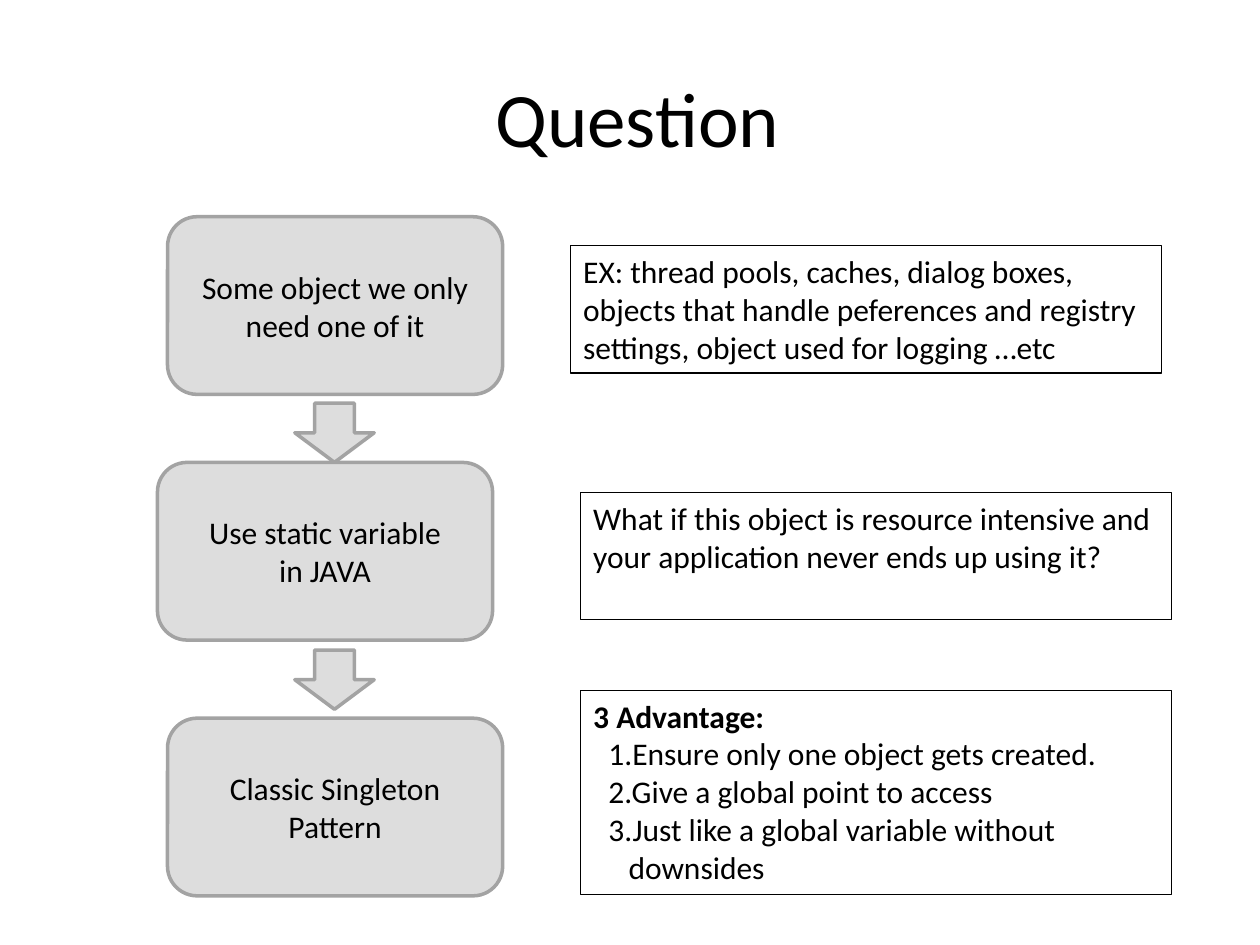
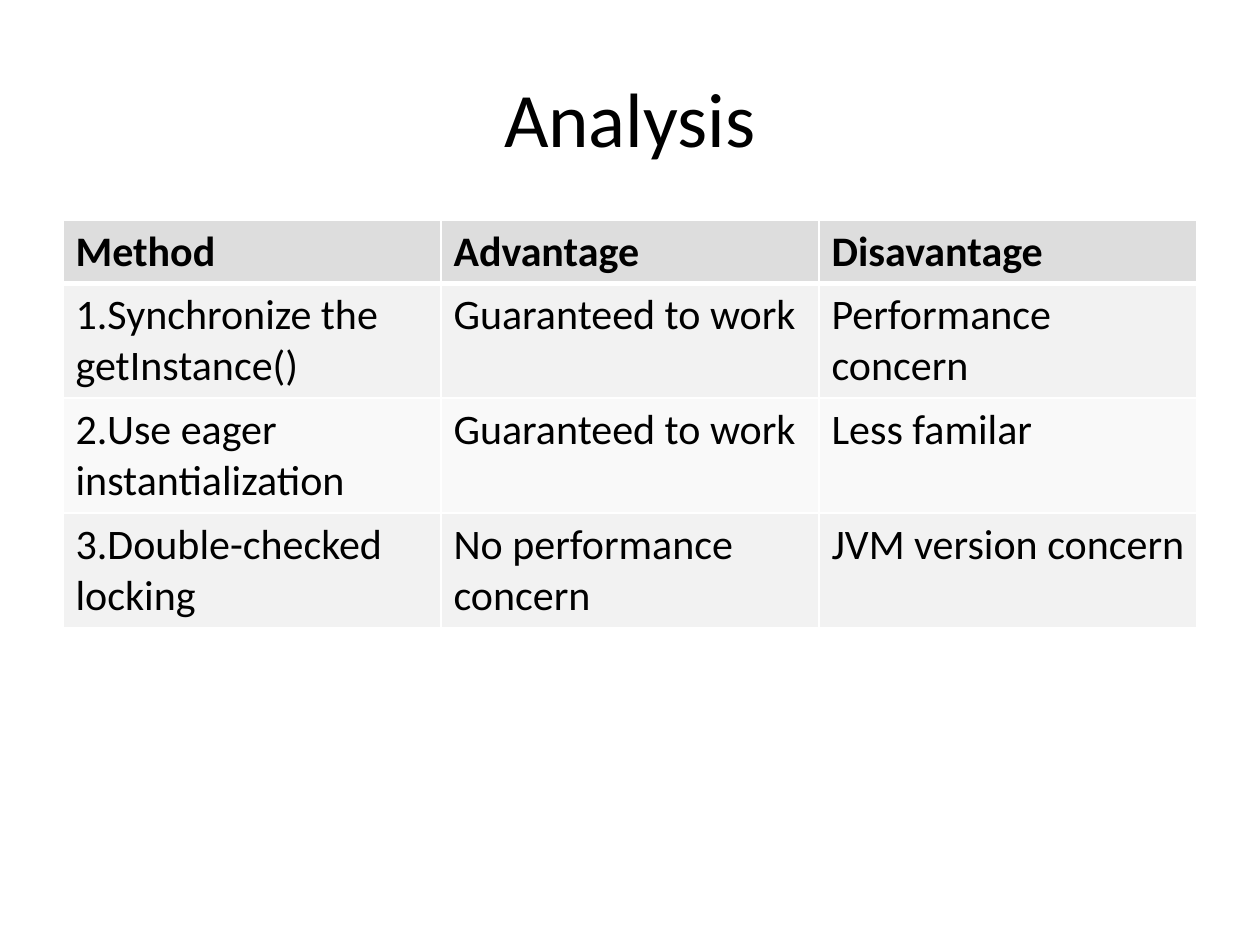
from pptx import Presentation, util as u
from pptx.dml import color
from pptx.enum import shapes, text
from pptx.oxml import ns
from lxml import etree

BLACK = color.RGBColor(0x00, 0x00, 0x00)
WHITE = color.RGBColor(0xFF, 0xFF, 0xFF)
GREY = color.RGBColor(0xDD, 0xDD, 0xDD)
OUTLINE = color.RGBColor(0xA3, 0xA3, 0xA3)
BANDS = [color.RGBColor(0xF2, 0xF2, 0xF2), color.RGBColor(0xF9, 0xF9, 0xF9)]
FONT = "Calibri"

STEP = {"fill": GREY, "line": OUTLINE, "weight": 2,
        "align": text.PP_ALIGN.CENTER, "anchor": text.MSO_ANCHOR.MIDDLE}
NOTE = {"fill": None, "line": BLACK, "weight": 0.75,
        "align": text.PP_ALIGN.LEFT, "anchor": text.MSO_ANCHOR.TOP}

STEPS = [
    (1.33, 1.72, "Some object we only need one of it"),
    (1.25, 3.67, "Use static variable\vin JAVA"),
    (1.33, 5.70, "Classic Singleton Pattern"),
]
ARROW_TOPS = [3.20, 5.16]
NOTES = [
    (4.53, 1.95, 1.01, ["EX: thread pools, caches, dialog boxes,",
                        "objects that handle peferences and registry settings, "
                        "object used for logging …etc"]),
    (4.61, 3.91, 1.01, ["What if this object is resource intensive and "
                        "your application never ends up using it?"]),
]
ADVANTAGES = [
    "3 Advantage:",
    "1.Ensure only one object gets created.",
    "2.Give a global point to access",
    "3.Just like a global variable without downsides",
]
METHODS = [
    ("Method", "Advantage", "Disavantage"),
    ("1.Synchronize the getInstance()", "Guaranteed to work", "Performance concern"),
    ("2.Use eager instantialization", "Guaranteed to work", "Less familar"),
    ("3.Double-checked locking", "No performance concern", "JVM version concern"),
]


def set_format(target, values):
    for name, value in values.items():
        setattr(target, name, value)


def write(frame, lines, size, align=text.PP_ALIGN.LEFT, bold=False):
    frame.word_wrap = True
    for index, line in enumerate(lines):
        paragraph = frame.paragraphs[0] if index == 0 else frame.add_paragraph()
        paragraph.text = line
        paragraph.alignment = align
        set_format(paragraph.font, {"name": FONT, "size": u.Pt(size), "bold": bold})
        for run in paragraph.runs:
            run.font.color.rgb = BLACK


def add_title(slide, title, left=0.5):
    box = slide.shapes.add_textbox(u.Inches(left), u.Inches(0.3), u.Inches(9), u.Inches(1.25))
    box.text_frame.vertical_anchor = text.MSO_ANCHOR.MIDDLE
    write(box.text_frame, [title], 44, text.PP_ALIGN.CENTER)


def add_box(slide, kind, place, style, lines=()):
    shape = slide.shapes.add_shape(kind, *map(u.Inches, place))
    shape.shadow.inherit = False
    if style["fill"] is None:
        shape.fill.background()
    else:
        shape.fill.solid()
        shape.fill.fore_color.rgb = style["fill"]
    shape.line.color.rgb = style["line"]
    shape.line.width = u.Pt(style["weight"])
    shape.text_frame.vertical_anchor = style["anchor"]
    write(shape.text_frame, lines, 18, style["align"])
    return shape


def add_advantages(slide):
    box = add_box(slide, shapes.MSO_SHAPE.RECTANGLE, (4.61, 5.48, 4.69, 1.62), NOTE, ADVANTAGES)
    heading, *items = box.text_frame.paragraphs
    heading.font.bold = True
    heading.runs[0].font.bold = True
    for item in items:
        properties = item._p.get_or_add_pPr()
        properties.set("marL", str(u.Inches(0.28)))
        properties.set("indent", str(u.Inches(-0.16)))


def add_borders(cell, bottom):
    properties = cell._tc.get_or_add_tcPr()
    for side, weight in {"L": 1, "R": 1, "T": 1, "B": bottom}.items():
        line = etree.SubElement(properties, ns.qn(f"a:ln{side}"), w=str(u.Pt(weight)))
        fill = etree.SubElement(line, ns.qn("a:solidFill"))
        etree.SubElement(fill, ns.qn("a:srgbClr"), val=str(WHITE))


def add_methods_table(slide):
    frame = slide.shapes.add_table(len(METHODS), len(METHODS[0]), u.Inches(0.5),
                                   u.Inches(1.75), u.Inches(9), u.Inches(3.23))
    table = frame.table
    table.horz_banding = False
    for row_index, row in enumerate(METHODS):
        header = row_index == 0
        table.rows[row_index].height = u.Inches(0.5 if header else 0.91)
        for column_index, value in enumerate(row):
            cell = table.cell(row_index, column_index)
            add_borders(cell, 3 if header else 1)
            cell.fill.solid()
            cell.fill.fore_color.rgb = GREY if header else BANDS[(row_index - 1) % 2]
            write(cell.text_frame, [value], 24, bold=header)


def build_question(slide):
    add_title(slide, "Question", left=0.56)
    for left, top, label in STEPS:
        add_box(slide, shapes.MSO_SHAPE.ROUNDED_RECTANGLE, (left, top, 2.66, 1.41), STEP, [label])
    for top in ARROW_TOPS:
        add_box(slide, shapes.MSO_SHAPE.DOWN_ARROW, (2.34, top, 0.63, 0.47), STEP)
    for left, top, height, lines in NOTES:
        add_box(slide, shapes.MSO_SHAPE.RECTANGLE, (left, top, 4.69, height), NOTE, lines)
    add_advantages(slide)


def build_analysis(slide):
    add_title(slide, "Analysis")
    add_methods_table(slide)


def main():
    presentation = Presentation()
    set_format(presentation, {"slide_width": u.Inches(10), "slide_height": u.Inches(7.5)})
    for build in (build_question, build_analysis):
        build(presentation.slides.add_slide(presentation.slide_layouts[6]))
    presentation.save("out.pptx")


if __name__ == "__main__":
    main()
